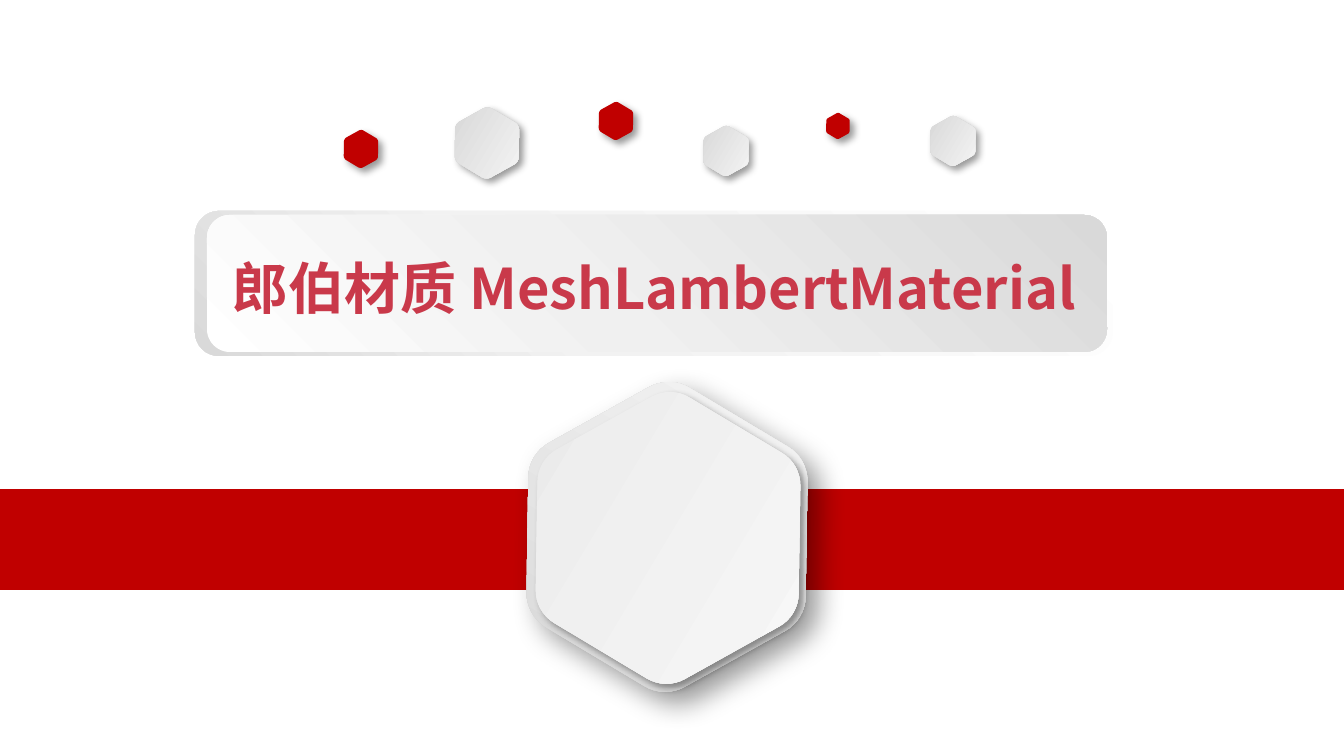
from dataclasses import dataclass
from math import cos, pi, sin

from lxml.etree import SubElement
from pptx import Presentation
from pptx.dml.color import RGBColor
from pptx.enum.shapes import MSO_SHAPE
from pptx.enum.text import MSO_ANCHOR, MSO_AUTO_SIZE, PP_ALIGN
from pptx.oxml.ns import qn
from pptx.util import Emu, Pt

PX = 914400 / 134.4


@dataclass(frozen=True)
class Theme:
    font: str = "Noto Sans CJK SC"
    title_size: int = 30
    title: str = "C9394A"
    red: str = "C00000"
    shadow: str = "000000"
    silver: tuple = ((0, "D3D3D3"), (100, "F9F9F9"))
    pale: tuple = ((0, "E9E9E9"), (100, "F9F9F9"))
    back_plate: tuple = ((0, "FFFFFF"), (62, "F2F2F2"), (100, "D9D9D9"))
    front_plate: tuple = ((0, "FFFFFF"), (42, "F0F0F0"), (100, "D9D9D9"))


THEME = Theme()


def px(length):
    return Emu(round(length * PX))


def paint(shape, fill, angle=0):
    shape.shadow.inherit = False
    shape.line.fill.background()
    if isinstance(fill, str):
        shape.fill.solid()
        shape.fill.fore_color.rgb = RGBColor.from_string(fill)
        return
    shape.fill.gradient()
    shape.fill.gradient_angle = (360 - angle) % 360
    stops = shape.element.spPr.find(f".//{qn('a:gsLst')}")
    for stop in list(stops):
        stops.remove(stop)
    for position, color in fill:
        stop = SubElement(stops, qn("a:gs"), pos=str(position * 1000))
        SubElement(stop, qn("a:srgbClr"), val=color)


def cast_shadow(shape, blur, distance):
    effects = shape.element.spPr.find(qn("a:effectLst"))
    shadow = SubElement(
        effects, qn("a:outerShdw"), blurRad=str(Pt(blur)), dist=str(Pt(distance)),
        dir="2700000", algn="tl", rotWithShape="0",
    )
    color = SubElement(shadow, qn("a:srgbClr"), val=THEME.shadow)
    SubElement(color, qn("a:alpha"), val="40000")


def add_panel(shapes, preset, box, fill, angle=0):
    panel = shapes.add_shape(preset, *map(px, box))
    paint(panel, fill, angle)


def rounded_hexagon(center_x, center_y, width, steps=8):
    side = width * 0.52
    radius = side * 0.25
    reach = side - radius / cos(pi / 6)
    points = []
    for corner in range(6):
        axis = corner * pi / 3
        for step in range(steps + 1):
            turn = axis + (step / steps - 0.5) * pi / 3
            points.append((
                px(center_x + reach * cos(axis) + radius * cos(turn)),
                px(center_y + reach * sin(axis) + radius * sin(turn)),
            ))
    return points


def add_hexagon(shapes, center_x, center_y, width, fill, angle=0, blur=4, distance=3):
    start, *outline = rounded_hexagon(center_x, center_y, width)
    builder = shapes.build_freeform(*start)
    builder.add_line_segments(outline, close=True)
    hexagon = builder.convert_to_shape()
    hexagon.rotation = 30.9
    paint(hexagon, fill, angle)
    cast_shadow(hexagon, blur, distance)


def add_title(shapes, box, text):
    title = shapes.add_textbox(*map(px, box))
    frame = title.text_frame
    frame.word_wrap = True
    frame.auto_size = MSO_AUTO_SIZE.SHAPE_TO_FIT_TEXT
    frame.vertical_anchor = MSO_ANCHOR.MIDDLE
    frame.margin_top = frame.margin_bottom = 0
    paragraph = frame.paragraphs[0]
    paragraph.alignment = PP_ALIGN.CENTER
    run = paragraph.add_run()
    run.text = text
    run.font.size = Pt(THEME.title_size)
    run.font.bold = True
    run.font.color.rgb = RGBColor.from_string(THEME.title)
    run.font.name = THEME.font
    SubElement(run.font._element, qn("a:ea"), typeface=THEME.font)


def main():
    deck = Presentation()
    deck.slide_width, deck.slide_height = px(1344), px(756)
    shapes = deck.slides.add_slide(deck.slide_layouts[6]).shapes

    add_panel(shapes, MSO_SHAPE.RECTANGLE, (0, 489, 1344, 101), THEME.red)

    for center_x, center_y, width, fill in (
        (487, 143, 71, THEME.silver),
        (616, 121, 38, THEME.red),
        (361, 149, 38, THEME.red),
        (726, 151, 50, THEME.silver),
        (838, 126, 26, THEME.red),
        (953, 141, 50, THEME.silver),
    ):
        add_hexagon(shapes, center_x, center_y, width, fill)

    badge = shapes.add_group_shape().shapes
    add_hexagon(badge, 667, 537, 310, THEME.silver, angle=270, blur=15, distance=9)
    add_hexagon(badge, 668, 538, 292, THEME.pale)

    plate = shapes.add_group_shape().shapes
    rounded = MSO_SHAPE.ROUNDED_RECTANGLE
    add_panel(plate, rounded, (195, 211, 918, 145), THEME.back_plate, angle=135)
    add_panel(plate, rounded, (207, 215, 900, 137), THEME.front_plate, angle=315)

    add_title(shapes, (196, 246, 917, 82), "郎伯材质 MeshLambertMaterial")
    deck.save("out.pptx")


if __name__ == "__main__":
    main()
